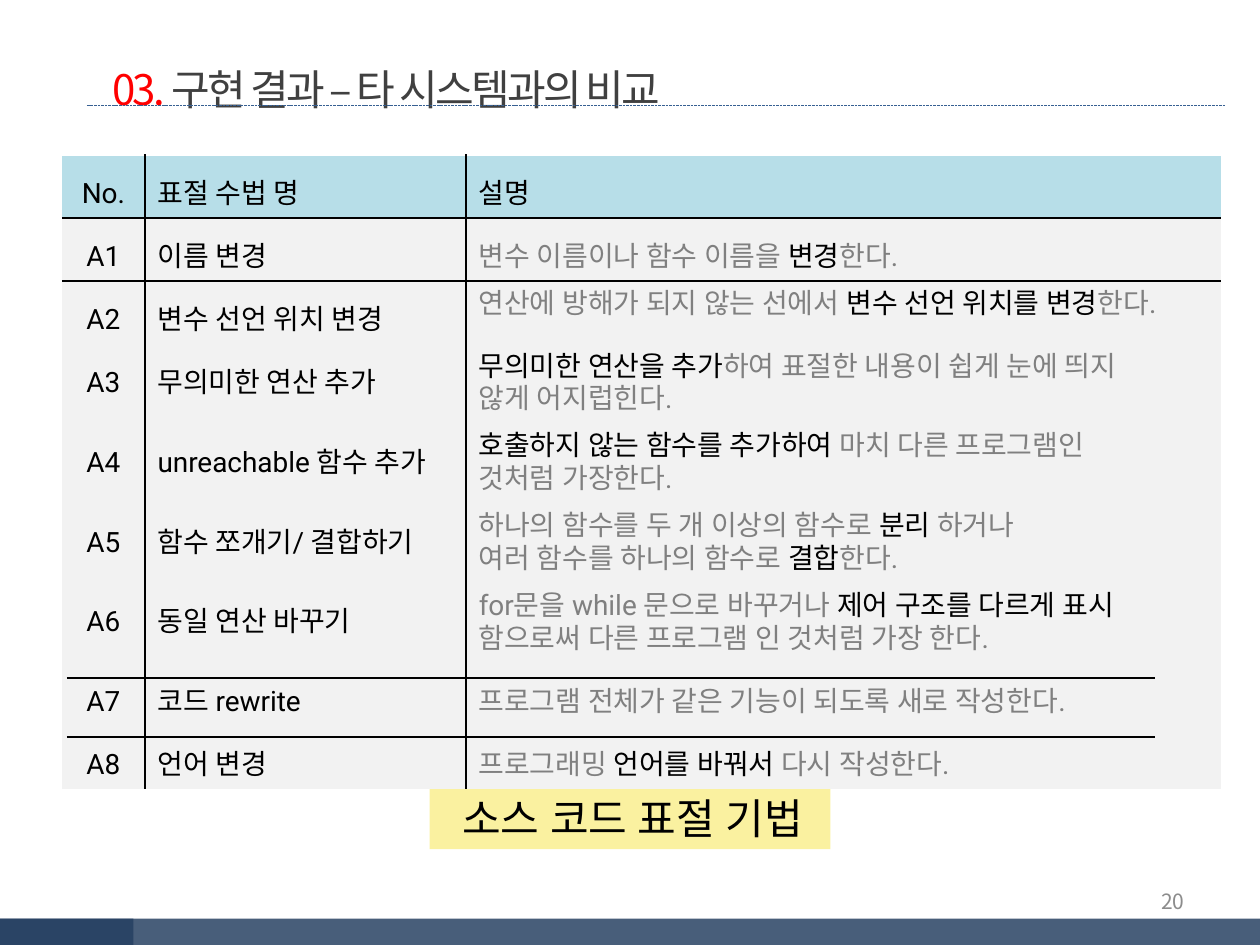
"""Build a slide with a table of source code plagiarism techniques."""
from dataclasses import dataclass

from lxml.etree import SubElement
from pptx import Presentation
from pptx.dml.color import RGBColor
from pptx.enum.dml import MSO_LINE
from pptx.enum.shapes import MSO_CONNECTOR as CONN, MSO_SHAPE as SHAPE
from pptx.enum.text import MSO_ANCHOR as ANCHOR, MSO_AUTO_SIZE as FIT, PP_ALIGN as ALIGN
from pptx.oxml.ns import qn
from pptx.util import Inches, Pt

SANS, ROBOTO = "Noto Sans CJK KR", "Roboto"
BLACK, GRAY, NAVY = "000000", "808080", "254061"
NO_STYLE = "{2D5ABB26-0587-4C30-8999-92F81FD0307C}"


@dataclass
class Technique:
    """A table row; asterisks in a description mark emphasised words."""
    no: str
    name: str
    lines: tuple[str, ...]
    height: float = 0.36
    spacing: float = 1.0


ROWS = [
    Technique("No.", "표절 수법 명", ("*설명*",), 0.26, 1.5),
    Technique("A1", "이름 변경", ("변수 이름이나 함수 이름을 *변경*한다.",), 0.26, 1.5),
    Technique("A2", "변수 선언 위치 변경",
              ("연산에 방해가 되지 않는 선에서 *변수 선언 위치를 변경*한다.",)),
    Technique("A3", "무의미한 연산 추가",
              ("*무의미한 연산을 추가*하여 표절한 내용이 쉽게 눈에 띄지", "않게 어지럽힌다.")),
    Technique("A4", "unreachable 함수 추가",
              ("*호출하지 않는 함수를 추가하여 *마치 다른 프로그램인", "것처럼 가장한다.")),
    Technique("A5", "함수 쪼개기/ 결합하기",
              ("하나의 함수를 두 개 이상의 함수로 *분리 *하거나",
               "여러 함수를 하나의 함수로 *결합*한다.")),
    Technique("A6", "동일 연산 바꾸기",
              ("for문을 while 문으로 바꾸거나 *제어 구조를 다르게 표시*",
               "함으로써 다른 프로그램 인 것처럼 가장 한다.")),
    Technique("A7", "코드 rewrite",
              ("프로그램 전체가 같은 기능이 되도록 새로 작성한다.",), 0.26, 1.5),
    Technique("A8", "언어 변경", ("프로그래밍 *언어를 바꿔서 *다시 작성한다.",), 0.26, 1.5),
]


def rgb(color: str) -> RGBColor:
    return RGBColor.from_string(color)


def set_font(p, name: str, size: float) -> None:
    p.font.name, p.font.size = name, Pt(size)
    SubElement(p.font._element, qn("a:ea"), typeface=name)


def add_run(p, text: str, color: str):
    r = p.add_run()
    r.text = text
    r.font.color.rgb = rgb(color)
    return r


def add_line(s, x1: float, x2: float, y: float, color: str, width: float):
    line = s.shapes.add_connector(CONN.STRAIGHT, Inches(x1), Inches(y), Inches(x2), Inches(y))
    line.line.color.rgb = rgb(color)
    line.line.width = Pt(width)
    SubElement(line._element.spPr, qn("a:effectLst"))
    return line


def add_rect(s, x: float, y: float, w: float, h: float, color: str, alpha: int = 100):
    rect = s.shapes.add_shape(SHAPE.RECTANGLE, Inches(x), Inches(y), Inches(w), Inches(h))
    rect.shadow.inherit = False
    rect.line.fill.background()
    rect.fill.solid()
    rect.fill.fore_color.rgb = rgb(color)
    if alpha < 100:
        clr = rect._element.spPr.find(f".//{qn('a:srgbClr')}")
        SubElement(clr, qn("a:alpha"), val=str(alpha * 1000))
    return rect


def add_outline(parent, tag: str, color: str, width: float):
    ln = SubElement(parent, qn(tag), w=str(Pt(width)))
    SubElement(SubElement(ln, qn("a:solidFill")), qn("a:srgbClr"), val=color)
    return ln


def fill_cell(cell, lines: tuple[str, ...], spacing: float, align: ALIGN) -> None:
    tf = cell.text_frame
    for i, line in enumerate(lines):
        p = tf.add_paragraph() if i else tf.paragraphs[0]
        p.alignment, p.line_spacing = align, spacing
        set_font(p, ROBOTO, 16)
        for j, part in enumerate(line.split("*")):
            if part:
                add_run(p, part, BLACK if j % 2 else GRAY)


def add_title(s) -> None:
    title = s.shapes.title
    title.left, title.top, title.width, title.height = map(Inches, (0.79, 0.25, 4.91, 0.63))
    tf = title.text_frame
    tf.word_wrap, tf.auto_size = False, FIT.SHAPE_TO_FIT_TEXT
    tf.vertical_anchor = ANCHOR.TOP
    p = tf.paragraphs[0]
    p.alignment, p.line_spacing = ALIGN.LEFT, 1.5
    set_font(p, SANS, 24)
    for text, color in (("03. ", "FF0000"), ("구현 결과 – 타 시스템과의 비교", "404040")):
        props = add_run(p, text, color).font._element
        props.set("spc", "-150")
        props.insert(0, add_outline(props, "a:ln", "D9D9D9", 0.25))


def add_techniques(s) -> None:
    frame = s.shapes.add_table(len(ROWS), 3, Inches(0.49), Inches(1.23), Inches(9.19), Inches(4.8))
    table = frame.table
    table._tbl.tblPr.find(qn("a:tableStyleId")).text = NO_STYLE
    for col, width in zip(table.columns, (0.66, 2.55, 5.99)):
        col.width = Inches(width)
    for i, row in enumerate(ROWS):
        table.rows[i].height = Inches(row.height)
        texts = (
            ((f"*{row.no}*",), 1.5, ALIGN.CENTER),
            ((f"*{row.name}*",), 1.5, ALIGN.LEFT),
            (row.lines, row.spacing, ALIGN.LEFT),
        )
        for j, (lines, spacing, align) in enumerate(texts):
            cell = table.cell(i, j)
            fill_cell(cell, lines, spacing, align)
            tc_pr = cell._tc.get_or_add_tcPr()
            if j > 0:
                add_outline(tc_pr, "a:lnL", BLACK, 1)
            if j < 2:
                add_outline(tc_pr, "a:lnR", BLACK, 1)
            if i < 2:
                add_outline(tc_pr, "a:lnT", BLACK if i else "FFFFFF", 1)
            if i == 0:
                add_outline(tc_pr, "a:lnB", BLACK, 1)
            cell.fill.solid()
            cell.fill.fore_color.rgb = rgb("F2F2F2" if i else "B7DEE8")
    frame.height = Inches(4.8)


def add_caption(s) -> None:
    tf = add_rect(s, 3.41, 6.24, 3.18, 0.5, "FAF1A0").text_frame
    tf.word_wrap, tf.vertical_anchor = True, ANCHOR.TOP
    tf.margin_left, tf.margin_right = Inches(0.26), Inches(0)
    p = tf.paragraphs[0]
    p.alignment = ALIGN.LEFT
    set_font(p, ROBOTO, 24)
    add_run(p, "소스 코드 표절 기법", BLACK)


def add_page_number(s) -> None:
    tf = s.shapes.add_textbox(Inches(7.17), Inches(6.95), Inches(2.33), Inches(0.4)).text_frame
    tf.word_wrap, tf.vertical_anchor = True, ANCHOR.MIDDLE
    p = tf.paragraphs[0]
    p.alignment = ALIGN.RIGHT
    set_font(p, SANS, 12)
    add_run(p, "20", "8C8C8C")


def main() -> None:
    prs = Presentation()
    prs.slide_width, prs.slide_height = Inches(10), Inches(7.5)
    s = prs.slides.add_slide(prs.slide_layouts[5])
    add_line(s, 0.69, 9.72, 0.84, "376092", 0.5).line.dash_style = MSO_LINE.SQUARE_DOT
    add_title(s)
    for width in (10, 1.06):
        add_rect(s, 0, 7.29, width, 0.21, NAVY, 84)
    add_caption(s)
    add_page_number(s)
    add_techniques(s)
    for y in (5.38, 5.85):
        add_line(s, 0.53, 9.17, y, BLACK, 1.5)
    prs.save("out.pptx")


if __name__ == "__main__":
    main()
